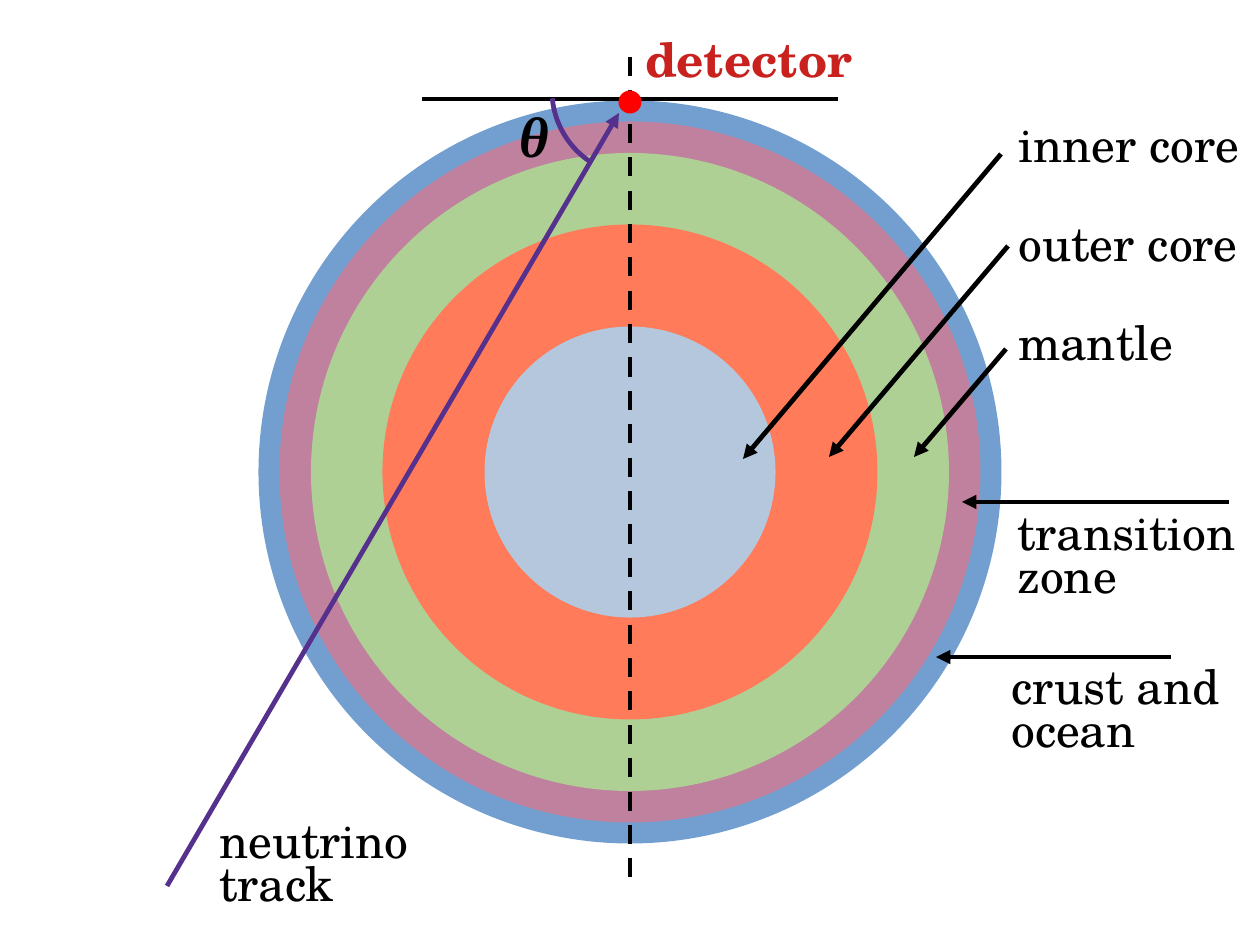
from pptx import Presentation
from pptx import util as u
from pptx.dml.color import RGBColor
from pptx.enum import dml, shapes, text
from pptx.oxml.ns import qn
from lxml import etree

PX = 8000  # EMU per pixel
BLACK, PURPLE = "000000", "55308D"
SERIF = "TeX Gyre Schola"

deck = Presentation()
deck.slide_width, deck.slide_height = 1260 * PX, 945 * PX
slide = deck.slides.add_slide(deck.slide_layouts[6])


def line(start, end, color=BLACK, arrow=False):
    """Draw a straight 3 pt line, with an arrowhead at its end if asked."""
    points = [v * PX for v in (*start, *end)]
    stroke = slide.shapes.add_connector(shapes.MSO_CONNECTOR.STRAIGHT, *points)
    stroke.line.color.rgb = RGBColor.from_string(color)
    stroke.line.width = u.Pt(3)
    etree.SubElement(stroke._element.spPr, qn("a:effectLst"))
    if arrow:
        head = etree.SubElement(stroke.line._get_or_add_ln(), qn("a:tailEnd"))
        head.set("type", "triangle")
    return stroke


def label(words, left, top, width, height, color=BLACK, size=30, font=SERIF, spacing=1):
    """Place a text box and return its paragraph."""
    box = slide.shapes.add_textbox(*(v * PX for v in (left, top, width, height)))
    frame = box.text_frame
    frame.word_wrap = True
    frame.auto_size = text.MSO_AUTO_SIZE.SHAPE_TO_FIT_TEXT
    frame.text = words
    paragraph = frame.paragraphs[0]
    paragraph.line_spacing = spacing
    style = paragraph.runs[0].font
    style.name, style.size = font, u.Pt(size)
    style.color.rgb = RGBColor.from_string(color)
    return paragraph


# Earth's layers share one centre; the detector sits on the surface
center_x, center_y = 630, 472
discs = [
    (center_x, center_y, 743, "729FCF"),  # crust and ocean
    (center_x, center_y, 701, "BF819E"),  # transition zone
    (center_x, center_y, 638, "AFD095"),  # mantle
    (center_x, center_y, 495, "FF7B59"),  # outer core
    (center_x, center_y, 291, "B4C7DC"),  # inner core
    (center_x, 102, 23, "FF0000"),  # detector
]
for x, y, diameter, color in discs:
    if color == "FF0000":  # horizon and vertical axis lie beneath the detector
        line((422, 99), (838, 99))
        line((630, 57), (630, 886)).line.dash_style = dml.MSO_LINE.DASH
    disc = slide.shapes.add_shape(
        shapes.MSO_SHAPE.OVAL, int((x - diameter / 2) * PX), int((y - diameter / 2) * PX),
        diameter * PX, diameter * PX)
    disc.shadow.inherit = False
    disc.fill.solid()
    disc.fill.fore_color.rgb = RGBColor.from_string(color)
    disc.line.fill.background()

# Layer names and their pointers
for row, name in enumerate(["inner core", "outer core", "mantle"]):
    label(name, 1007, 109 + 99 * row, 252, 77)
for name, left, top in [("transition zone", 1006, 510), ("crust and ocean", 1000, 664),
                        ("neutrino track", 208, 818)]:
    label(name, left, top, 246, 110, spacing=0.76)
pointers = [
    ((1001, 154), (743, 459)),
    ((1008, 246), (829, 457)),
    ((1006, 349), (914, 457)),
    ((1229, 502), (962, 502)),
    ((1171, 657), (936, 657)),
]
for start, end in pointers:
    line(start, end, arrow=True)

label("detector", 634, 24, 285, 77, color="C9211E").runs[0].font.bold = True

# Neutrino track and its angle to the horizon
line((167, 886), (619, 113), PURPLE, arrow=True)
angle = slide.shapes.add_shape(shapes.MSO_SHAPE.ARC, 552 * PX, 5 * PX, 171 * PX, 171 * PX)
angle.shadow.inherit = False
for i, degrees in enumerate((123.3, 174.7)):
    angle.adjustments[i] = degrees * 0.6
angle.fill.background()
angle.line.color.rgb = RGBColor.from_string(PURPLE)
angle.line.width = u.Pt(3)

theta = label("θ", 411, 110, 246, 85, size=36, font="Times New Roman", spacing=0.76)
theta.alignment = text.PP_ALIGN.CENTER
theta.runs[0].font.bold = theta.runs[0].font.italic = True

deck.save("out.pptx")
